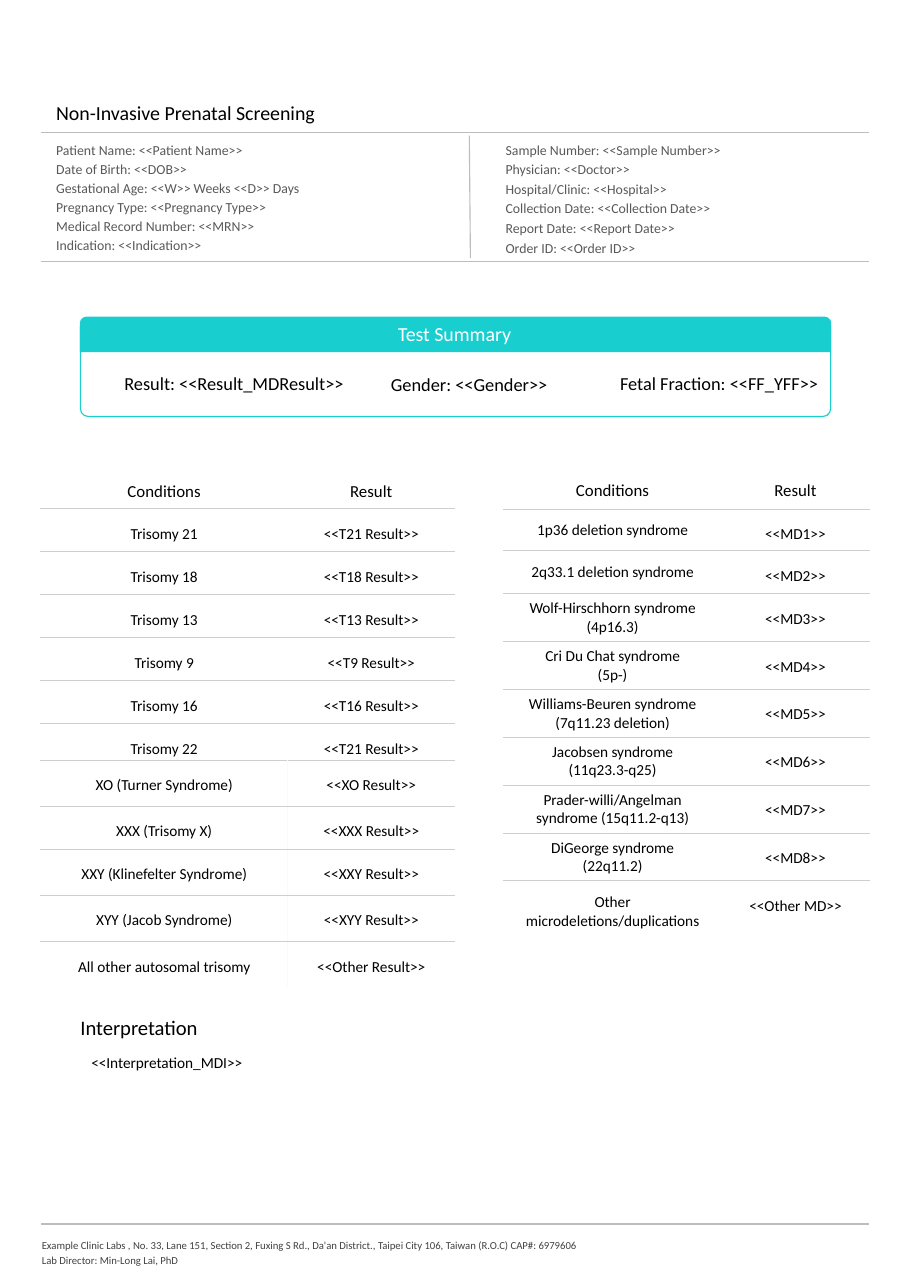
from lxml import etree
from pptx import Presentation
from pptx.dml.color import RGBColor
from pptx.enum.shapes import MSO_CONNECTOR, MSO_SHAPE
from pptx.enum.text import MSO_ANCHOR as Anchor, MSO_AUTO_SIZE as AutoSize, PP_ALIGN as Align
from pptx.oxml.ns import qn
from pptx.util import Inches, Pt

COLORS = {
    "black": "000000", "white": "FFFFFF", "teal": "18CECF", "detail": "595959",
    "footer": "414141", "rule": "BDBDBD", "grid": "CECECE", "faint": "F9FAF9",
}
DEFAULT_INSETS = (0.1, 0.05, 0.1, 0.05)
WIDE_INSETS = (0.1, 0.1, 0.1, 0.1)
TIGHT_INSETS = (0.01, 0.01, 0, 0)
LEFT, WIDTH = 0.37, 7.52

PATIENT_DETAILS = """Patient Name: <<Patient Name>>
Date of Birth: <<DOB>>
Gestational Age: <<W>> Weeks <<D>> Days
Pregnancy Type: <<Pregnancy Type>>
Medical Record Number: <<MRN>>
Indication: <<Indication>>"""
SAMPLE_DETAILS = """Sample Number: <<Sample Number>>
Physician: <<Doctor>>
Hospital/Clinic: <<Hospital>>
Collection Date: <<Collection Date>>
Report Date: <<Report Date>>
Order ID: <<Order ID>>"""
LAB_DETAILS = """Example Clinic Labs , No. 33, Lane 151, Section 2, Fuxing S Rd., Da'an District., Taipei City 106, Taiwan (R.O.C) CAP#: 6979606
Lab Director: Min-Long Lai, PhD"""

TRISOMY_ROWS = [
    ("Trisomy 21", "<<T21 Result>>", 0.39),
    ("Trisomy 18", "<<T18 Result>>", 0.39),
    ("Trisomy 13", "<<T13 Result>>", 0.39),
    ("Trisomy 9", "<<T9 Result>>", 0.39),
    ("Trisomy 16", "<<T16 Result>>", 0.39),
    ("Trisomy 22", "<<T21 Result>>", 0.33),
    ("XO (Turner Syndrome)", "<<XO Result>>", 0.42),
    ("XXX (Trisomy X)", "<<XXX Result>>", 0.39),
    ("XXY (Klinefelter Syndrome)", "<<XXY Result>>", 0.42),
    ("XYY (Jacob Syndrome)", "<<XYY Result>>", 0.42),
    ("All other autosomal trisomy", "<<Other Result>>", 0.42),
]
DELETION_ROWS = [
    ("1p36 deletion syndrome", "<<MD1>>", 0.38),
    ("2q33.1 deletion syndrome", "<<MD2>>", 0.39),
    ("Wolf-Hirschhorn syndrome\n(4p16.3)", "<<MD3>>", 0.39),
    ("Cri Du Chat syndrome\n(5p-)", "<<MD4>>", 0.4),
    ("Williams-Beuren syndrome (7q11.23 deletion)", "<<MD5>>", 0.39),
    ("Jacobsen syndrome\n(11q23.3-q25)", "<<MD6>>", 0.32),
    ("Prader-willi/Angelman syndrome (15q11.2-q13)", "<<MD7>>", 0.41),
    ("DiGeorge syndrome\n(22q11.2)", "<<MD8>>", 0.38),
    ("Other microdeletions/duplications", "<<Other MD>>", 0.56),
]


def rgb(name):
    return RGBColor.from_string(COLORS[name])


def write_text(frame, text, size=10, color="black", align=Align.LEFT, spacing=None, before=0):
    for index, line in enumerate(text.split("\n")):
        paragraph = frame.add_paragraph() if index else frame.paragraphs[0]
        paragraph.alignment = align
        if spacing:
            paragraph.line_spacing = spacing
        if index and before:
            paragraph.space_before = Pt(before)
        run = paragraph.add_run()
        run.text = line
        run.font.name = "Calibri"
        run.font.size = Pt(size)
        run.font.color.rgb = rgb(color)


def set_insets(target, insets):
    """Apply left, top, right and bottom margins to a text frame or cell."""
    target.margin_left, target.margin_top, target.margin_right, target.margin_bottom = map(Inches, insets)


def add_text(slide, box, text, insets=DEFAULT_INSETS, wrap=True, **text_format):
    frame = slide.shapes.add_textbox(*map(Inches, box)).text_frame
    frame.word_wrap = wrap
    frame.auto_size = AutoSize.SHAPE_TO_FIT_TEXT
    set_insets(frame, insets)
    write_text(frame, text, **text_format)


def add_rule(slide, x1, y1, x2, y2):
    rule = slide.shapes.add_connector(MSO_CONNECTOR.STRAIGHT, *map(Inches, (x1, y1, x2, y2)))
    rule.line.color.rgb = rgb("rule")
    rule.line.width = Pt(0.75)
    etree.SubElement(rule._element.spPr, qn("a:effectLst"))


def add_panel(slide, kind, box, adjustments, fill=None):
    panel = slide.shapes.add_shape(kind, *map(Inches, box))
    panel.shadow.inherit = False
    for index, value in enumerate(adjustments):
        panel.adjustments[index] = value
    if fill:
        panel.fill.solid()
        panel.fill.fore_color.rgb = rgb(fill)
    else:
        panel.fill.background()
    panel.line.color.rgb = rgb("teal")
    panel.line.width = Pt(0.75)


def set_borders(cell, **sides):
    """Colour the cell edges, named L, R, T and B in schema order."""
    properties = cell._tc.get_or_add_tcPr()
    for index, (side, color) in enumerate(sides.items()):
        line = etree.Element(qn(f"a:ln{side}"), w=str(Pt(0.75)))
        fill = etree.SubElement(line, qn("a:solidFill"))
        etree.SubElement(fill, qn("a:srgbClr"), val=COLORS[color])
        properties.insert(index, line)


def add_results_table(slide, left, top, widths, header_height, rows, divided_from=None, centred_names=False):
    """Draw conditions and results; a faint divider starts at row divided_from."""
    records = [("Conditions", "Result", header_height), *rows]
    heights = [height for *_, height in records]
    box = (left, top, sum(widths), sum(heights))
    table = slide.shapes.add_table(len(records), len(widths), *map(Inches, box)).table
    table.first_row = table.horz_banding = False
    for column, width in zip(table.columns, widths):
        column.width = Inches(width)
    for row_index, (*texts, height) in enumerate(records):
        table.rows[row_index].height = Inches(height)
        header = row_index == 0
        divider = "faint" if divided_from and row_index >= divided_from else "white"
        for column_index, text in enumerate(texts):
            cell = table.cell(row_index, column_index)
            cell.fill.solid()
            cell.fill.fore_color.rgb = rgb("white")
            set_borders(
                cell,
                L=divider if column_index else "white",
                R="white" if column_index else divider,
                T="white" if header else "grid",
                B="white" if row_index == len(rows) else "grid",
            )
            centred = centred_names and column_index == 0 and not header
            if centred:
                set_insets(cell, DEFAULT_INSETS)
                cell.vertical_anchor = Anchor.MIDDLE
            else:
                set_insets(cell, (0, 0.12 if header else 0.06, 0, 0))
            write_text(cell.text_frame, text, size=11 if header else 10, align=Align.CENTER,
                       spacing=None if header or centred else 1.5)


def add_report_header(slide, left, top, width):
    add_text(slide, (left + 0.13, top, 3.74, 0.23), "Non-Invasive Prenatal Screening",
             insets=(0.01, 0.02, 0, 0), size=13)
    details = {"insets": TIGHT_INSETS, "size": 9, "color": "detail", "spacing": 1.15}
    add_text(slide, (left + 0.13, top + 0.36, 3.13, 1.05), PATIENT_DETAILS, **details)
    add_text(slide, (left + 4.21, top + 0.36, 3.13, 1.06), SAMPLE_DETAILS, before=0.4, **details)
    for offset in (0.31, 1.48):
        add_rule(slide, left, top + offset, left + width, top + offset)
    add_rule(slide, left + 3.89, top + 0.34, left + 3.9, top + 1.45)


def add_summary(slide, left, top, width):
    add_panel(slide, MSO_SHAPE.ROUNDED_RECTANGLE, (left, top + 0.02, width, 0.88), [0.08])
    add_panel(slide, MSO_SHAPE.ROUND_2_SAME_RECTANGLE, (left, top, width, 0.31), [0.17, 0], fill="teal")
    add_text(slide, (left + 1.76, top - 0.06, 3.27, 0.42), "Test Summary",
             insets=WIDE_INSETS, size=13, color="white", align=Align.CENTER)
    add_text(slide, (left + 0.3, top + 0.45, 2.32, 0.3), "Result: <<Result_MDResult>>", size=12)
    add_text(slide, (left + 2.72, top + 0.46, 1.87, 0.3), "Gender: <<Gender>>", size=12)
    add_text(slide, (left + 4.8, top + 0.45, 2.03, 0.3), "Fetal Fraction: <<FF_YFF>>", wrap=False, size=12)


def add_interpretation(slide, left, top, width):
    add_text(slide, (left, top, 1.28, 0.25), "Interpretation", insets=(0, 0.02, 0, 0), size=13.5)
    add_text(slide, (left, top + 0.29, width, 0.37), "<<Interpretation_MDI>>", insets=WIDE_INSETS)


def add_footer(slide, left, top, width):
    add_rule(slide, left, top, left + width, top)
    add_text(slide, (left, top + 0.1, 5.97, 0.46), LAB_DETAILS,
             insets=TIGHT_INSETS, size=7, color="footer", spacing=1.19)


def main():
    presentation = Presentation()
    presentation.slide_width, presentation.slide_height = Inches(8.26), Inches(11.69)
    slide = presentation.slides.add_slide(presentation.slide_layouts[6])
    add_report_header(slide, LEFT, 0.89, WIDTH)
    add_summary(slide, 0.73, 2.88, 6.81)
    add_results_table(slide, LEFT, 4.25, (2.24, 1.52), 0.37, TRISOMY_ROWS, divided_from=7)
    add_results_table(slide, 4.57, 4.24, (1.98, 1.34), 0.38, DELETION_ROWS, centred_names=True)
    add_interpretation(slide, 0.73, 9.19, 6.81)
    add_footer(slide, LEFT, 11.11, WIDTH)
    presentation.save("out.pptx")


if __name__ == "__main__":
    main()
